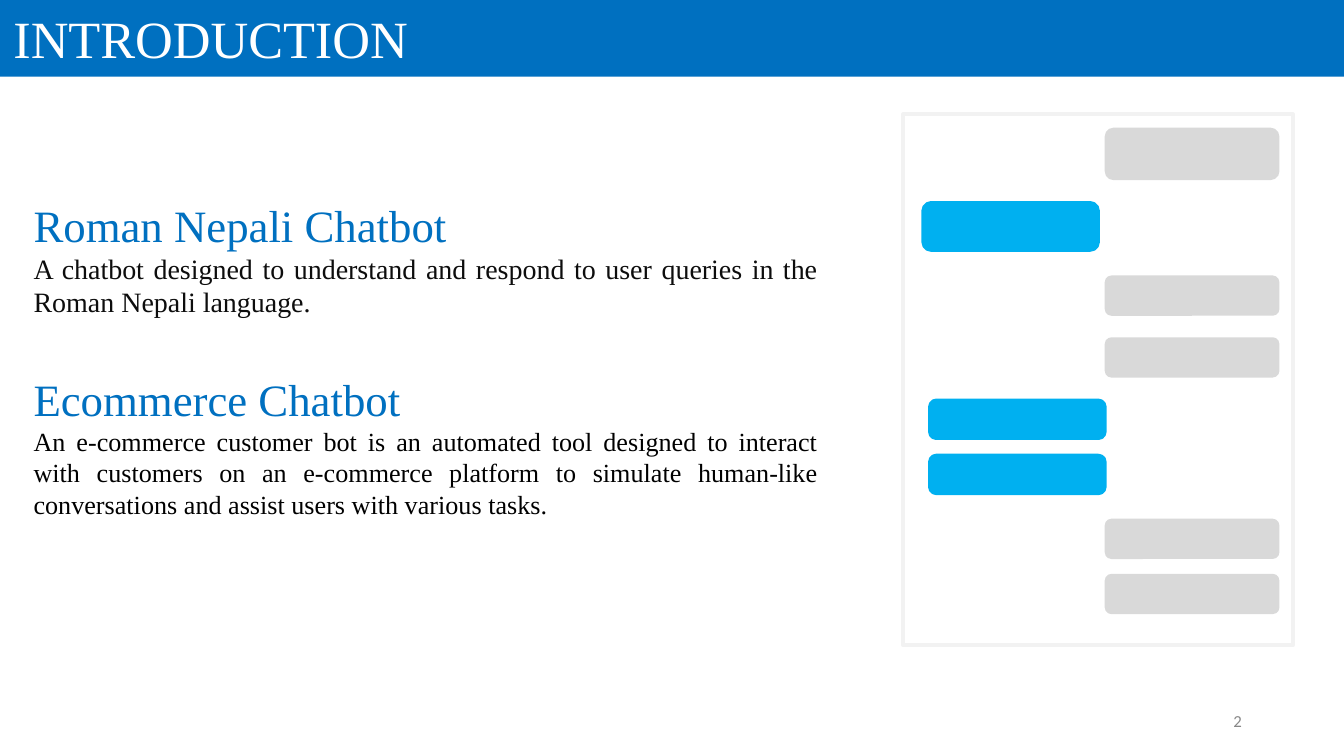
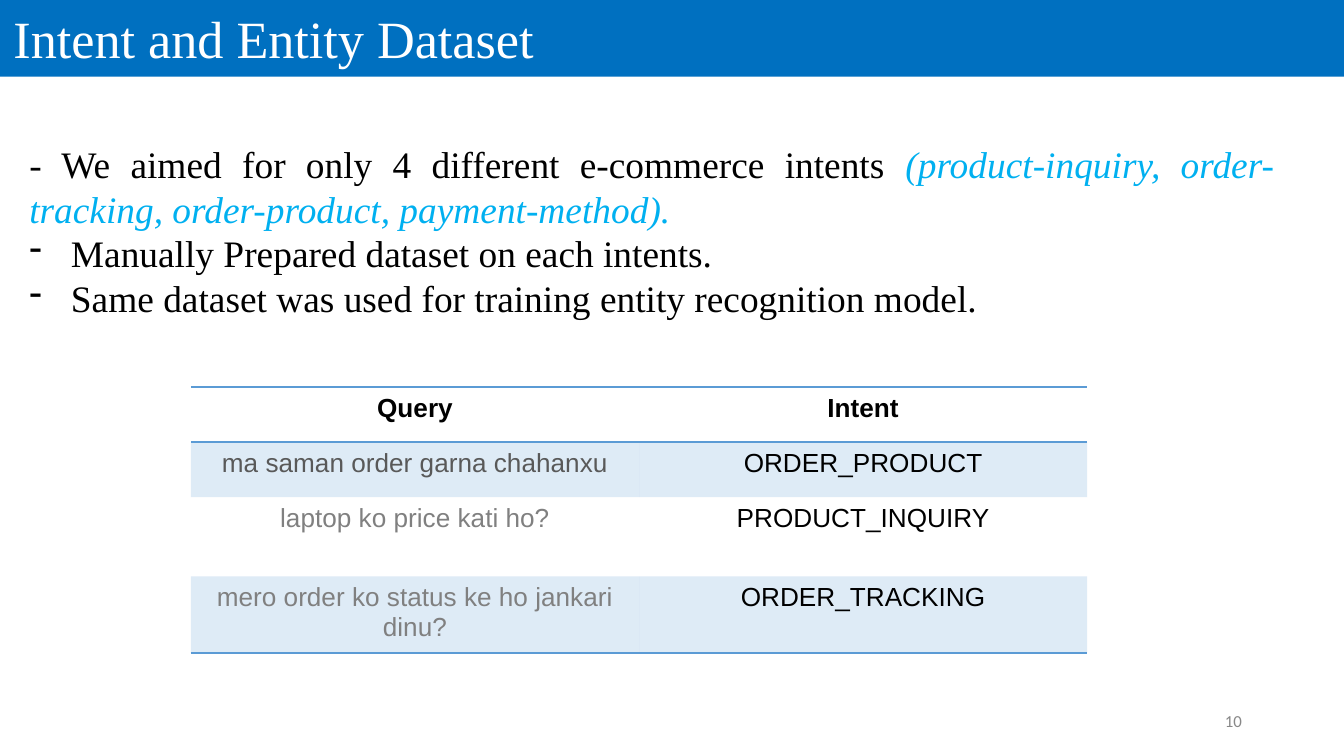
from dataclasses import dataclass

from lxml import etree
from pptx import Presentation
from pptx.dml.color import RGBColor
from pptx.enum.shapes import MSO_SHAPE as Shape
from pptx.enum.text import MSO_ANCHOR as Anchor, PP_ALIGN as Align
from pptx.oxml.ns import qn
from pptx.util import Inches, Pt


@dataclass(frozen=True)
class Theme:
    # Colours
    band: str = "0070C0"
    sky: str = "00B0F0"
    rule: str = "5B9BD5"
    white: str = "FFFFFF"
    black: str = "000000"
    ink: str = "0D0D0D"
    dark: str = "595959"
    mid: str = "808080"
    page: str = "888888"
    grey: str = "D9D9D9"
    frame: str = "F2F2F2"
    # Fonts and sizes
    serif: str = "Times New Roman"
    sans: str = "Arial"
    foot: str = "Calibri"
    title: int = 28
    head: int = 24
    lead: int = 20
    body: int = 15
    small: int = 14
    num: int = 9


T = Theme()
TITLE_BOX = (0, 0, 10, 0.57)
PAGE_BOX = (7.06, 5.21, 2.25, 0.3)
NO_STYLE = "{2D5ABB26-0587-4C30-8999-92F81FD0307C}"


# Shared helpers
def rgb(code):
    return RGBColor.from_string(code)


def inches(box):
    return [Inches(v) for v in box]


def style(font, name, size, color, bold=False):
    font.name, font.size, font.bold = name, Pt(size), bold
    font.color.rgb = rgb(color)


def inset(frame, side, top):
    frame.margin_left = frame.margin_right = Inches(side)
    frame.margin_top = frame.margin_bottom = Inches(top)


def add_text(slide, box, side=0.1, top=0.05):
    frame = slide.shapes.add_textbox(*inches(box)).text_frame
    frame.word_wrap = True
    inset(frame, side, top)
    return frame


def add_para(frame, text, size, color):
    para = frame.paragraphs[0]
    if para.runs:
        para = frame.add_paragraph()
    para.text, para.alignment = text, Align.JUSTIFY
    style(para.font, T.serif, size, color)
    return para


def add_box(shapes, kind, box, fill, line=None):
    shape = shapes.add_shape(kind, *inches(box))
    shape.shadow.inherit = False
    shape.fill.solid()
    shape.fill.fore_color.rgb = rgb(fill)
    if line:
        shape.line.color.rgb = rgb(line)
        shape.line.width = Pt(2)
    else:
        shape.line.fill.background()


def new_slide(deck, title, page):
    slide = deck.slides.add_slide(deck.slide_layouts[5])
    # Title band
    band = slide.shapes.title
    band.left, band.top, band.width, band.height = inches(TITLE_BOX)
    band.fill.solid()
    band.fill.fore_color.rgb = rgb(T.band)
    frame = band.text_frame
    frame.text = title
    frame.vertical_anchor = Anchor.TOP
    inset(frame, 0.1, 0.05)
    para = frame.paragraphs[0]
    para.alignment = Align.LEFT
    style(para.font, T.serif, T.title, T.white)
    # Page number
    frame = add_text(slide, PAGE_BOX, 0.07, 0.04)
    frame.vertical_anchor = Anchor.MIDDLE
    para = frame.paragraphs[0]
    para.text, para.alignment = str(page), Align.RIGHT
    style(para.font, T.foot, T.num, T.page)
    return slide


# Introduction
def add_topics(slide, box, topics):
    frame = add_text(slide, box, 0.08, 0.04)
    frame.margin_top = Inches(0.29)
    for i, (head, text, size, color) in enumerate(topics):
        para = add_para(frame, head, T.head, T.band)
        if i:
            para.space_before = Pt(28.5)
        add_para(frame, text, size, color)


def add_chat(slide, box, user, bot):
    left, top, width, _ = box
    group = slide.shapes.add_group_shape().shapes
    add_box(group, Shape.RECTANGLE, box, T.white, T.frame)
    for y, high in user:
        spot = (left + width - 1.4, top + y, 1.3, high)
        add_box(group, Shape.ROUNDED_RECTANGLE, spot, T.grey)
    for x, y, high in bot:
        spot = (left + x, top + y, 1.3, high)
        add_box(group, Shape.ROUNDED_RECTANGLE, spot, T.sky, T.sky)


def intro(deck):
    slide = new_slide(deck, "INTRODUCTION", 2)
    add_topics(slide, (0.17, 1.18, 6, 3), [
        ("Roman Nepali Chatbot",
         "A chatbot designed to understand and respond to user queries "
         "in the Roman Nepali language.", T.body, T.ink),
        ("Ecommerce Chatbot",
         "An e-commerce customer bot is an automated tool designed to "
         "interact with customers on an e-commerce platform to simulate "
         "human-like conversations and assist users with various tasks.",
         T.small, T.black),
    ])
    add_chat(
        slide, (6.72, 0.85, 2.9, 3.95),
        user=[(0.1, 0.39), (1.2, 0.3), (1.66, 0.3), (3.01, 0.3), (3.42, 0.3)],
        bot=[(0.15, 0.66, 0.35), (0.2, 2.13, 0.28), (0.2, 2.54, 0.28)],
    )


# Dataset
def add_dash(para):
    props = para._p.get_or_add_pPr()
    props.set("marL", str(Inches(0.31)))
    props.set("indent", str(-Inches(0.31)))
    color = etree.SubElement(props, qn("a:buClr"))
    etree.SubElement(color, qn("a:srgbClr"), val=T.black)
    etree.SubElement(props, qn("a:buChar"), char="-")
    # Default run properties close the paragraph properties
    props.append(props.find(qn("a:defRPr")))


def add_points(slide, box, lead, note, points):
    frame = add_text(slide, box)
    para = add_para(frame, lead, T.lead, T.black)
    run = para.add_run()
    run.text = note
    run.font.italic = True
    run.font.color.rgb = rgb(T.sky)
    for point in points:
        add_dash(add_para(frame, point, T.lead, T.black))


def add_rule(cell, *tags):
    props = cell._tc.get_or_add_tcPr()
    for i, tag in enumerate(tags):
        line = etree.Element(qn(tag), w=str(Pt(1)))
        fill = etree.SubElement(line, qn("a:solidFill"))
        etree.SubElement(fill, qn("a:srgbClr"), val=T.rule)
        props.insert(i, line)


def tint(cell):
    cell.fill.solid()
    cell.fill.fore_color.rgb = rgb(T.rule)
    color = cell._tc.tcPr.find(".//" + qn("a:srgbClr"))
    etree.SubElement(color, qn("a:alpha"), val="20000")


def add_grid(slide, box, highs, rows, colors):
    table = slide.shapes.add_table(len(rows), 2, *inches(box)).table
    table._tbl.tblPr.find(qn("a:tableStyleId")).text = NO_STYLE
    for i, (row, high) in enumerate(zip(rows, highs)):
        table.rows[i].height = Inches(high)
        for j, text in enumerate(row):
            cell = table.cell(i, j)
            para = cell.text_frame.paragraphs[0]
            para.text, para.alignment = text, Align.CENTER
            color = T.black if j else colors[i]
            style(para.font, T.sans, T.small, color, bold=i == 0)
            if i % 2:
                tint(cell)
            else:
                cell.fill.background()
            if i == 0:
                add_rule(cell, "a:lnT", "a:lnB")
            elif i == len(rows) - 1:
                add_rule(cell, "a:lnB")


def dataset(deck):
    slide = new_slide(deck, "Intent and Entity Dataset", 10)
    add_points(
        slide, (0.12, 1, 9.46, 1.45),
        "- We aimed for only 4 different e-commerce intents ",
        "(product-inquiry, order-tracking, order-product, payment-method).",
        ["Manually Prepared dataset on each intents.",
         "Same dataset was used for training entity recognition model."],
    )
    add_grid(slide, (1.42, 2.88, 6.67, 1.98), [0.41, 0.41, 0.59, 0.57], [
        ("Query", "Intent"),
        ("ma saman order garna chahanxu", "ORDER_PRODUCT"),
        ("laptop ko price kati ho?", "PRODUCT_INQUIRY"),
        ("mero order ko status ke ho jankari dinu?", "ORDER_TRACKING"),
    ], [T.black, T.dark, T.mid, T.mid])


def main():
    deck = Presentation()
    # Wide 16:9 page
    deck.slide_width = Inches(10)
    deck.slide_height = deck.slide_width * 9 // 16
    intro(deck)
    dataset(deck)
    deck.save("out.pptx")


if __name__ == "__main__":
    main()
